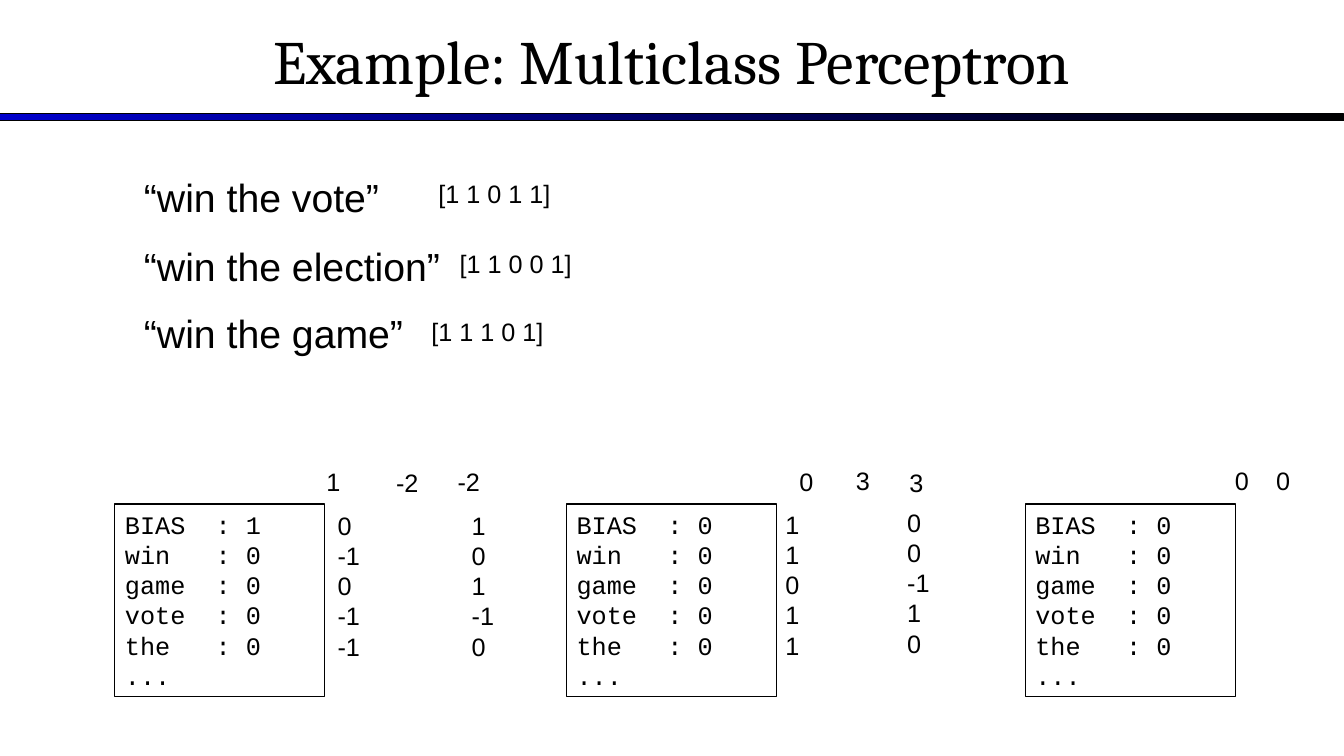
from pptx import Presentation
from pptx.dml.color import RGBColor
from pptx.enum.shapes import MSO_SHAPE
from pptx.enum.text import MSO_ANCHOR, PP_ALIGN
from pptx.oxml.ns import qn
from pptx.util import Pt
from lxml.etree import SubElement

PX = 9144  # EMU per px, 100 px to the inch
BLACK = RGBColor(0x00, 0x00, 0x00)
BLUE = RGBColor(0x00, 0x00, 0xCC)
SLIDE_WIDTH, SLIDE_HEIGHT = 1333, 750
COLON_TAB = 90
FEATURES = ["BIAS", "win", "game", "vote", "the"]

# Phrase, its feature vector, and the vector's left and top
SAMPLES = [
    ("“win the vote”", "[1 1 0 1 1]", 425, 172),
    ("“win the election”", "[1 1 0 0 1]", 446, 241),
    ("“win the game”", "[1 1 1 0 1]", 418, 309),
]

# Each class: left, bias, scores (left, top, value), updates (left, top, values)
CLASSES = [
    (114, 1,
     [(314, 458, "1"), (383, 459, "-2"), (444, 458, "-2")],
     [(325, 501, ["0", "-1", "0", "-1", "-1"]),
      (458, 501, ["1", "0", "1", "-1", "0"])]),
    (562, 0,
     [(783, 458, "0"), (839, 457, "3"), (892, 459, "3")],
     [(769, 500, ["1", "1", "0", "1", "1"]),
      (890, 498, ["0", "0", "-1", "1", "0"])]),
    (1017, 0,
     [(1215, 457, "0"), (1256, 457, "0")],
     []),
]


def px(*lengths):
    return [length * PX for length in lengths]


def write_lines(frame, lines, size, font="Arial", tab=None):
    frame.word_wrap = True
    frame.text = "\n".join(lines)
    for paragraph in frame.paragraphs:
        if tab:
            tabs = SubElement(paragraph._p.get_or_add_pPr(), qn("a:tabLst"))
            SubElement(tabs, qn("a:tab"), pos=str(tab * PX), algn="l")
        paragraph.alignment = PP_ALIGN.LEFT
        for run in paragraph.runs:
            run.font.name = font
            run.font.size = Pt(size)
            run.font.color.rgb = BLACK


def add_label(slide, left, top, width, height, lines, size=18):
    label = slide.shapes.add_textbox(*px(left, top, width, height))
    write_lines(label.text_frame, lines, size)


def add_outlined_box(slide, left, top, width, height):
    box = slide.shapes.add_shape(MSO_SHAPE.RECTANGLE, *px(left, top, width, height))
    box.shadow.inherit = False
    box.line.color.rgb = BLACK
    box.line.width = Pt(0.75)
    return box


def add_header(slide, left, top, width, height):
    # Gradient rule under the title
    rule = add_outlined_box(slide, left, top + 116, width, 7)
    rule.fill.gradient()
    rule.fill.gradient_angle = 0
    for stop, color in zip(rule.fill.gradient_stops, (BLUE, BLACK)):
        stop.color.rgb = color

    title = slide.shapes.title
    title.left, title.top, title.width, title.height = px(left, top, width, height)
    frame = title.text_frame
    frame.text = "Example: Multiclass Perceptron"
    frame.vertical_anchor = MSO_ANCHOR.MIDDLE
    heading = frame.paragraphs[0]
    heading.alignment = PP_ALIGN.CENTER
    font = heading.runs[0].font
    font.name = "Cambria"
    font.size = Pt(44)
    font.color.rgb = BLACK


def add_samples(slide, left, top, width, row_height):
    for row, (phrase, vector, vector_left, vector_top) in enumerate(SAMPLES):
        phrase_top = top + round(row * row_height)
        add_label(slide, left, phrase_top, width, 57, [phrase], size=28)
        add_label(slide, vector_left, vector_top, 192, 40, [vector])


def add_class(slide, left, top, width, height, bias, scores, updates):
    # Initial weights
    weights = add_outlined_box(slide, left, top, width, height)
    weights.fill.background()
    weights.text_frame.vertical_anchor = MSO_ANCHOR.TOP
    values = [bias, 0, 0, 0, 0]
    lines = [f"{feature}\t: {value}" for feature, value in zip(FEATURES, values)]
    write_lines(weights.text_frame, lines + ["..."], 18, "Courier New", COLON_TAB)

    # Scores above, updated weights beside
    for score_left, score_top, score in scores:
        add_label(slide, score_left, score_top, 56, 40, [score])
    for update_left, update_top, column in updates:
        add_label(slide, update_left, update_top, 56, 162, column)


def main():
    presentation = Presentation()
    presentation.slide_width, presentation.slide_height = px(SLIDE_WIDTH, SLIDE_HEIGHT)
    slide = presentation.slides.add_slide(presentation.slide_layouts[5])
    add_header(slide, 0, -3, SLIDE_WIDTH, 125)
    add_samples(slide, 133, 167, 317, 67.5)
    for left, bias, scores, updates in CLASSES:
        add_class(slide, left, 500, 208, 191, bias, scores, updates)
    presentation.save("out.pptx")


if __name__ == "__main__":
    main()
